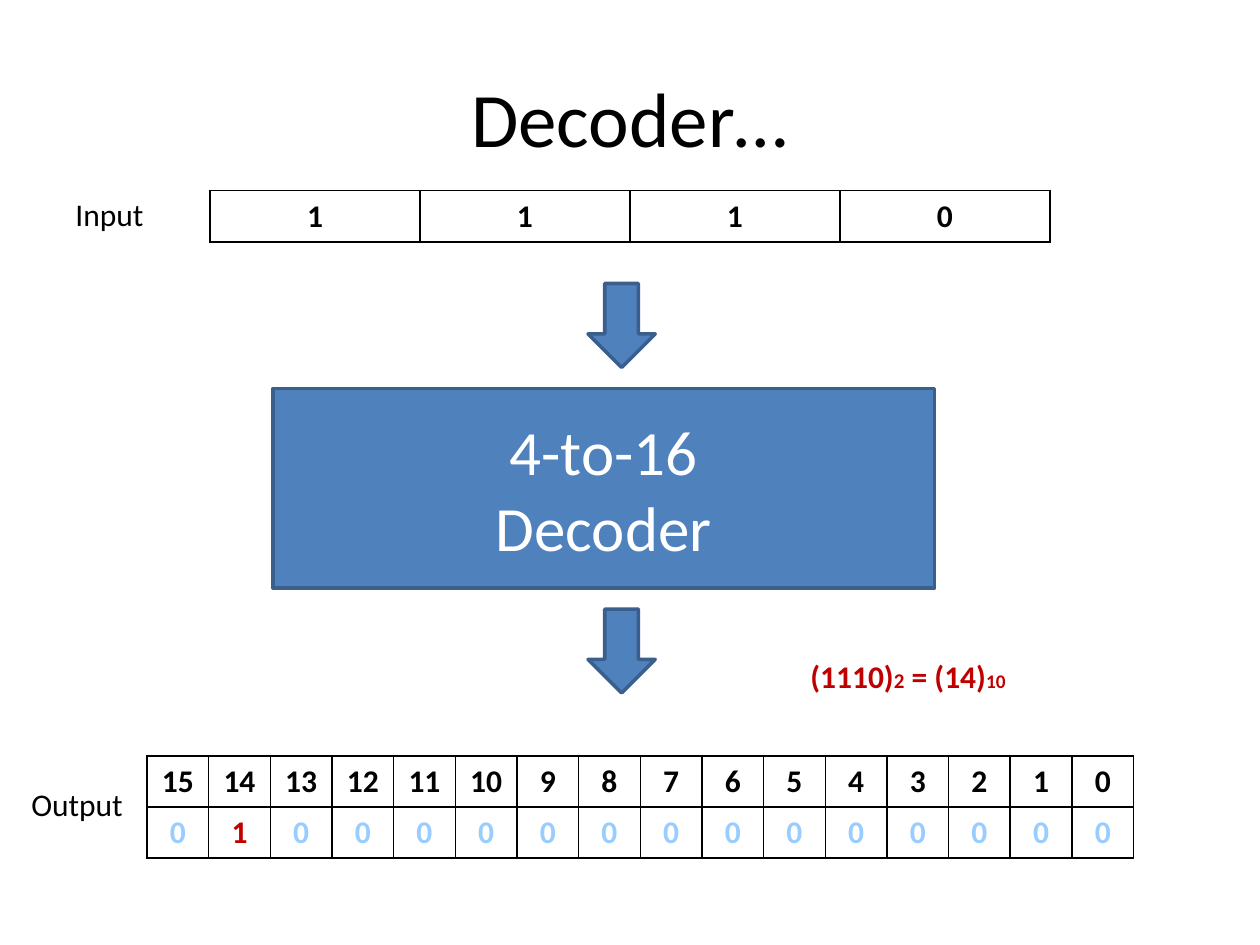
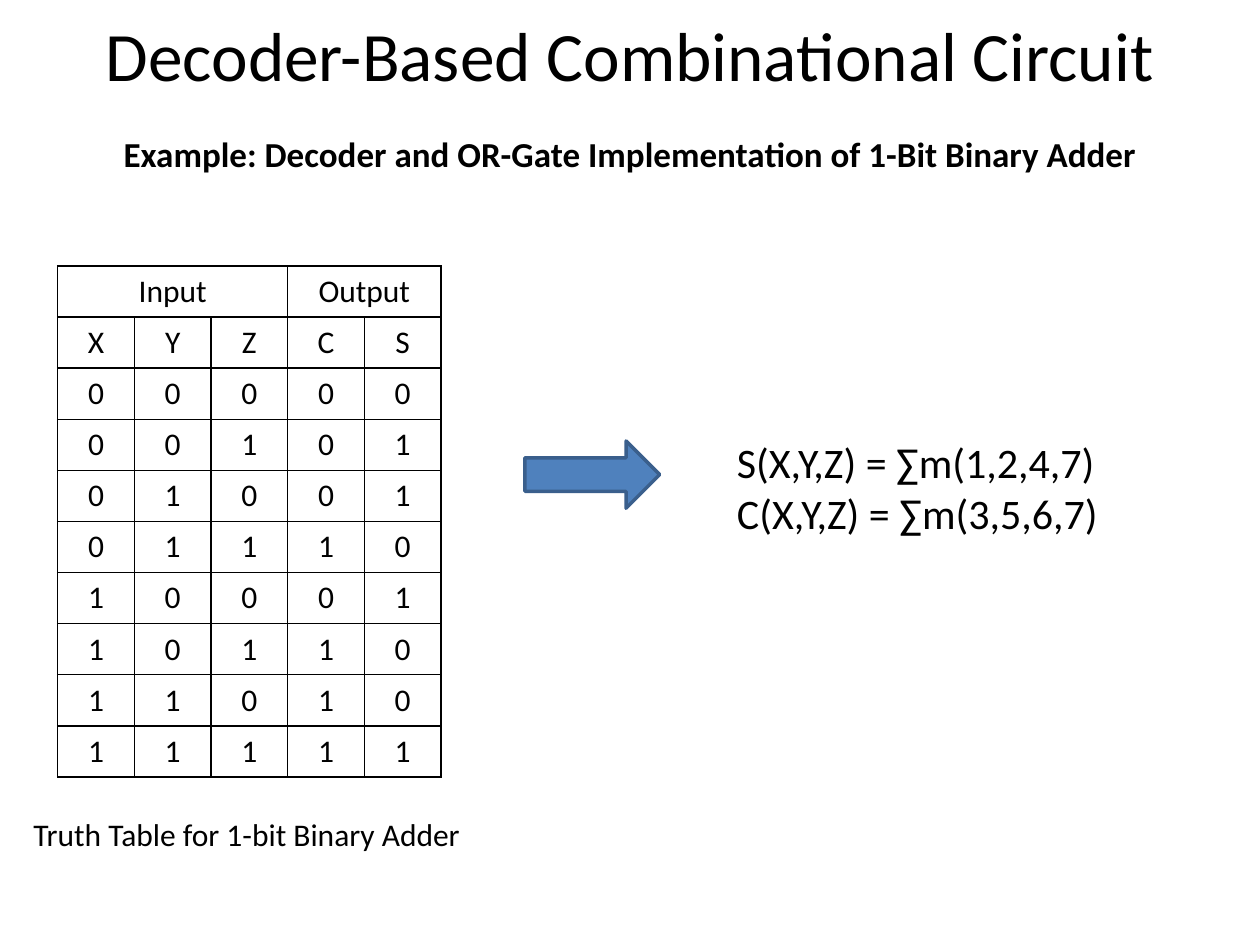
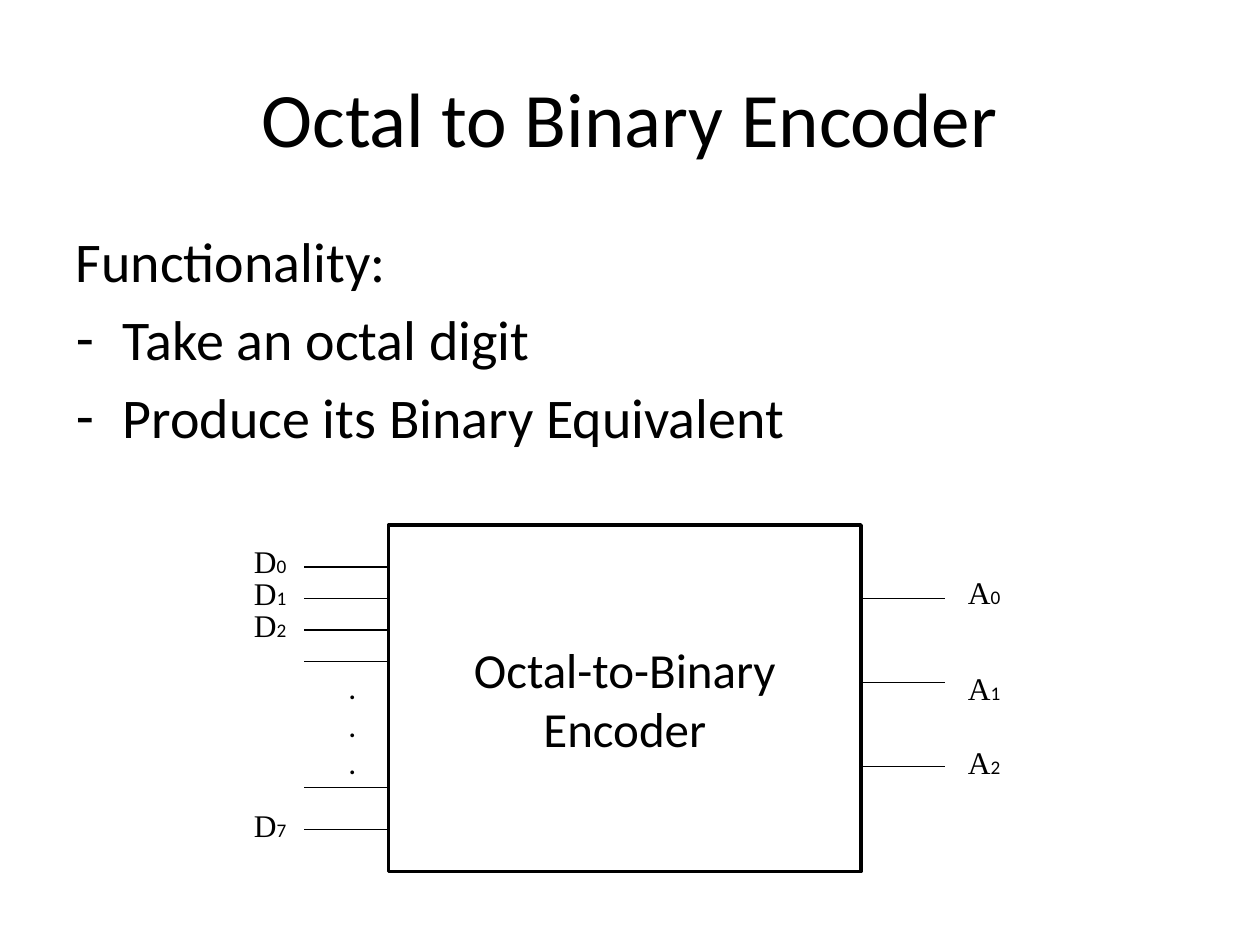
from itertools import product

from lxml import etree
from pptx import Presentation
from pptx.dml.color import RGBColor
from pptx.enum.shapes import MSO_CONNECTOR, MSO_SHAPE as SHAPE
from pptx.enum.text import MSO_ANCHOR as ANCHOR, MSO_AUTO_SIZE as AUTO_SIZE, PP_ALIGN as ALIGN
from pptx.oxml.ns import qn
from pptx.util import Pt

COLORS = {
    "text": "000000",
    "white": "FFFFFF",
    "block": "4F81BD",
    "block_line": "3A5F8C",
    "highlight": "C00000",
    "inactive": "99CCFF",
}
TITLE_ONLY, TITLE_AND_BODY = 5, 1
ROW_HEIGHT = 29.2
HANGING_INDENT = 27


def rgb(name):
    return RGBColor.from_string(COLORS[name])


def points(*lengths):
    return [Pt(length) for length in lengths]


def write_text(frame, lines, size=18, color="text", bold=False, font="Calibri",
               align=ALIGN.LEFT, space_before=0):
    """Write one paragraph per line; a line is a string or a list of (text, format) runs."""
    for index, line in enumerate(lines):
        paragraph = frame.add_paragraph() if index else frame.paragraphs[0]
        paragraph.alignment = align
        paragraph.space_before = Pt(space_before if index else 0)
        for text, changes in [(line, {})] if isinstance(line, str) else line:
            run = paragraph.add_run()
            run.text = text
            run.font.size = Pt(changes.get("size", size))
            run.font.name = changes.get("font", font)
            run.font.bold = bold
            run.font.color.rgb = rgb(color)


def set_bullet(paragraph, character):
    """Give a paragraph a hanging indent, with a bullet character or none."""
    properties = paragraph._p.get_or_add_pPr()
    properties.set("marL", str(Pt(HANGING_INDENT)))
    properties.set("indent", str(Pt(-HANGING_INDENT)))
    if character:
        etree.SubElement(properties, qn("a:buChar"), char=character)
    else:
        etree.SubElement(properties, qn("a:buNone"))


def set_borders(cell):
    properties = cell._tc.get_or_add_tcPr()
    for index, side in enumerate(("lnL", "lnR", "lnT", "lnB")):
        line = etree.Element(qn(f"a:{side}"), w=str(Pt(1)))
        fill = etree.SubElement(line, qn("a:solidFill"))
        etree.SubElement(fill, qn("a:srgbClr"), val=COLORS["text"])
        properties.insert(index, line)


class Deck:
    def __init__(self):
        self.presentation = Presentation()
        self.presentation.slide_width, self.presentation.slide_height = points(720, 540)
        self.slide = None

    def new_slide(self, layout, title, box=(36, 21.6, 648, 90), size=44):
        self.slide = self.presentation.slides.add_slide(
            self.presentation.slide_layouts[layout])
        frame = self.place(self.slide.shapes.title, box)
        frame.vertical_anchor = ANCHOR.MIDDLE
        write_text(frame, [title], size=size, align=ALIGN.CENTER)

    def place(self, placeholder, box):
        (placeholder.left, placeholder.top,
         placeholder.width, placeholder.height) = points(*box)
        placeholder.text_frame.auto_size = AUTO_SIZE.NONE
        return placeholder.text_frame

    def body(self, lines, box, bullets, **style):
        frame = self.place(self.slide.placeholders[1], box)
        write_text(frame, lines, **style)
        for paragraph, bullet in zip(frame.paragraphs, bullets):
            set_bullet(paragraph, bullet)

    def label(self, lines, left, top, width, height=28.8, **style):
        box = self.slide.shapes.add_textbox(*points(left, top, width, height))
        box.text_frame.word_wrap = False
        box.text_frame.auto_size = AUTO_SIZE.SHAPE_TO_FIT_TEXT
        write_text(box.text_frame, lines, **style)

    def pin_label(self, letter, number, left, top):
        runs = [(letter, {"font": "Times New Roman"}), (str(number), {"size": 11})]
        self.label([runs], left, top, 33)

    def block(self, kind, box, lines=(), fill="block", line="block_line", **style):
        shape = self.slide.shapes.add_shape(kind, *points(*box))
        shape.shadow.inherit = False
        if fill:
            shape.fill.solid()
            shape.fill.fore_color.rgb = rgb(fill)
        else:
            shape.fill.background()
        shape.line.color.rgb = rgb(line)
        shape.line.width = Pt(2)
        shape.text_frame.vertical_anchor = ANCHOR.MIDDLE
        write_text(shape.text_frame, lines, align=ALIGN.CENTER, **style)

    def wire(self, left, right, top):
        line = self.slide.shapes.add_connector(
            MSO_CONNECTOR.STRAIGHT, *points(left, top, right, top))
        line.line.color.rgb = rgb("text")
        line.line.width = Pt(0.75)
        etree.SubElement(line._element.spPr, qn("a:effectLst"))

    def table(self, rows, left, top, column_width, bold=False, merges=(),
              color_of=lambda row, text: "text"):
        """Draw a bordered grid; merges lists (row, first column, last column)."""
        columns = len(rows[0])
        table = self.slide.shapes.add_table(len(rows), columns, *points(
            left, top, columns * column_width, len(rows) * ROW_HEIGHT)).table
        table.first_row = table.horz_banding = False
        for column in table.columns:
            column.width = Pt(column_width)
        for row_index, row in enumerate(rows):
            table.rows[row_index].height = Pt(ROW_HEIGHT)
            for column_index, text in enumerate(row):
                cell = table.cell(row_index, column_index)
                cell.fill.background()
                cell.vertical_anchor = ANCHOR.MIDDLE
                set_borders(cell)
                if text:
                    write_text(cell.text_frame, [text], bold=bold, align=ALIGN.CENTER,
                               color=color_of(row_index, text))
        for row, first, last in merges:
            table.cell(row, first).merge(table.cell(row, last))


def decoder_slide(deck):
    deck.new_slide(TITLE_ONLY, "Decoder…")
    code = "1110"
    active = int(code, 2)
    deck.table([list(code)], 120, 109, 120, bold=True)
    deck.label(["Input"], 36, 108, 54)
    for top in (162, 348):
        deck.block(SHAPE.DOWN_ARROW, (336, top, 38.4, 48))
    deck.block(SHAPE.RECTANGLE, (156, 222, 378, 114), ["4-to-16", "Decoder"],
               size=36, color="white")
    deck.label([[(f"({code})", {}), ("2", {"size": 12}),
                 (f" = ({active})", {}), ("10", {"size": 11})]],
               456, 372, 131, color="highlight", bold=True)

    lines = range(15, -1, -1)
    output = [[str(line) for line in lines], [str(int(line == active)) for line in lines]]

    def output_color(row, text):
        if row == 0:
            return "text"
        return "highlight" if text == "1" else "inactive"

    deck.table(output, 84, 432, 35.25, bold=True, color_of=output_color)
    deck.label(["Output"], 10.8, 445, 67.7)


def adder_slide(deck):
    deck.new_slide(TITLE_AND_BODY, "Decoder-Based Combinational Circuit",
                   box=(36, 6, 648, 50), size=39.6)
    deck.body(["Example: Decoder and OR-Gate Implementation of 1-Bit Binary Adder"],
              (36, 72, 648, 410.4), [None], size=20, bold=True, align=ALIGN.CENTER)
    rows = [["Input", "", "", "Output", ""], list("XYZCS")]
    for bits in product((0, 1), repeat=3):
        carry, total = divmod(sum(bits), 2)
        rows.append([str(bit) for bit in (*bits, carry, total)])
    deck.table(rows, 33, 152, 43.8, merges=[(0, 0, 2), (0, 3, 4)])
    deck.label(["Truth Table for 1-bit Binary Adder"], 12, 462, 261.4)
    deck.label(["S(X,Y,Z) = ∑m(1,2,4,7)", "C(X,Y,Z) = ∑m(3,5,6,7)"],
               414, 246, 222.5, 65.5, size=24)
    deck.block(SHAPE.RIGHT_ARROW, (300, 252, 77, 38.4))


def encoder_slide(deck):
    deck.new_slide(TITLE_AND_BODY, "Octal to Binary Encoder")
    deck.body(["Functionality:", "Take an octal digit", "Produce its Binary Equivalent"],
              (36, 126, 648, 356.4), [None, "-", "-"], size=32, space_before=6)
    deck.block(SHAPE.RECTANGLE, (222, 300, 270, 198), ["Octal-to-Binary", "Encoder"],
               fill=None, line="text", size=28)
    for top in (324, 342, 360, 378, 450, 474):
        deck.wire(174, 222, top)
    for top in (342, 390, 438):
        deck.wire(492, 540, top)
    deck.label(["."] * 3, 192, 378, 19.4, 72.7)
    for number, top in ((0, 306), (1, 324.5), (2, 343), (7, 457)):
        deck.pin_label("D", number, 138, top)
    for number, top in enumerate((324, 379, 421)):
        deck.pin_label("A", number, 546, top)


def main():
    deck = Deck()
    decoder_slide(deck)
    adder_slide(deck)
    encoder_slide(deck)
    deck.presentation.save("out.pptx")


if __name__ == "__main__":
    main()
